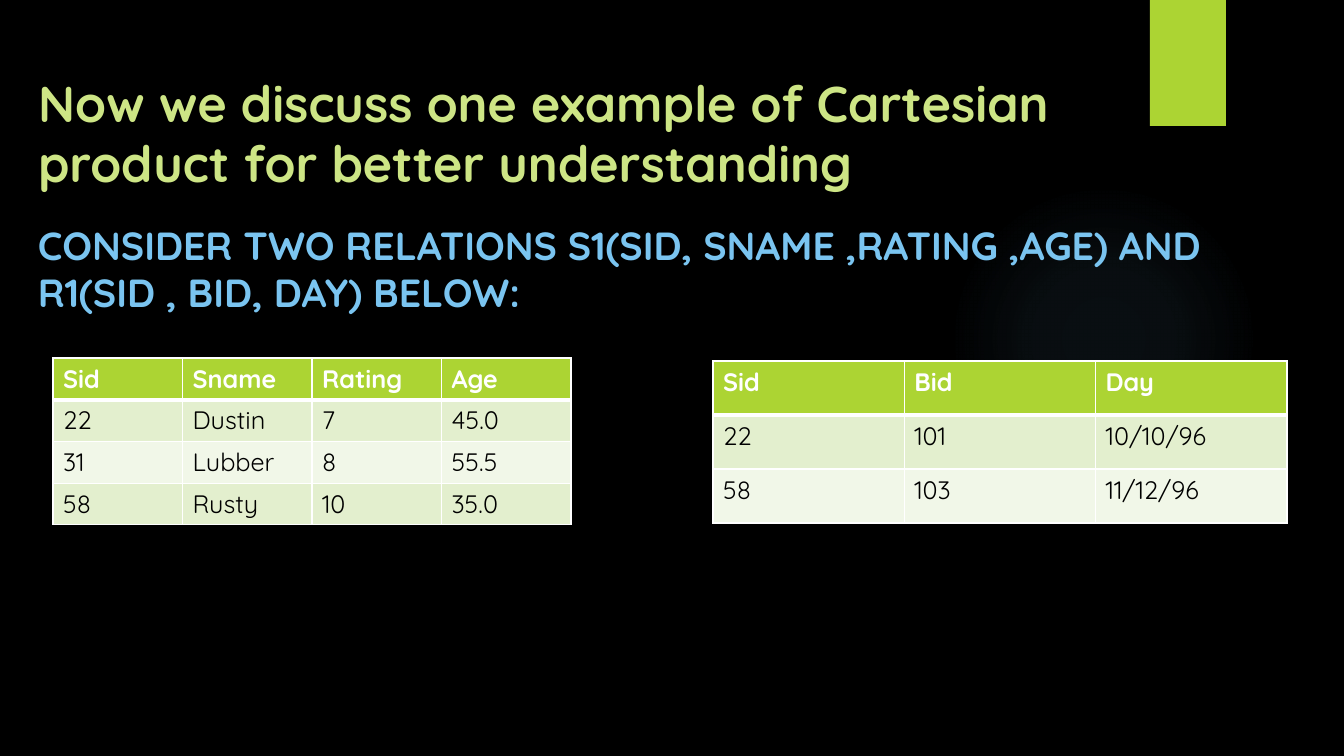
"""Build the Cartesian product example slide with its two relation tables."""
from dataclasses import dataclass

from lxml.etree import SubElement
from pptx import Presentation
from pptx.dml.color import RGBColor
from pptx.enum.shapes import MSO_SHAPE
from pptx.enum.text import MSO_ANCHOR, MSO_AUTO_SIZE, PP_ALIGN
from pptx.oxml import parse_xml
from pptx.oxml.ns import nsdecls, qn
from pptx.util import Emu, Pt

TITLE = "Now we discuss one example of Cartesian product for better understanding"
SUBTITLE = ("CONSIDER TWO RELATIONS S1(SID, SNAME ,RATING ,AGE) AND "
            "R1(SID , BID, DAY) BELOW:")
S1 = [
    ("Sid", "Sname", "Rating", "Age"),
    ("22", "Dustin", "7", "45.0"),
    ("31", "Lubber", "8", "55.5"),
    ("58", "Rusty", "10", "35.0"),
]
R1 = [
    ("Sid", "Bid", "Day"),
    ("22", "101", "10/10/96"),
    ("58", "103", "11/12/96"),
]
RELATIONS = [
    {"rows": S1, "at": (53, 358), "width": 518, "row_height": 41},
    {"rows": R1, "at": (713, 361), "width": 574, "row_height": 54},
]
GLOW_BOX = (949, 184, 310, 310)
GLOW_STOPS = [(0, 7), (36, 6), (69, 0)]
TAB_BOX = (1150, 0, 76, 126)
TITLE_BOX = (28, 51, 1085, 268)
SUBTITLE_BOX = (28, 216, 1282, 320)
TITLE_TOP_INSET = 21


@dataclass(frozen=True)
class Theme:
    """Colours, font and type sizes in points."""
    back: str = "000000"
    accent: str = "ACD433"
    title: str = "CDE585"
    sky: str = "7AC4F0"
    white: str = "FFFFFF"
    black: str = "000000"
    bands: tuple = ("E3EFCE", "F1F7E8")
    font: str = "Quicksand"
    title_size: int = 36
    subtitle_size: int = 28
    cell_size: int = 18
    rule: int = 1
    header_rule: int = 3


THEME = Theme()


def px(n):
    """Turn pixels into EMU."""
    return Emu(round(n * 914400 / 100.8))


def box(values):
    """Turn a pixel box into EMU."""
    return [px(v) for v in values]


def paint(fill, color):
    """Give a fill one solid colour."""
    fill.solid()
    fill.fore_color.rgb = RGBColor.from_string(color)


def write(tf, text, size, color, bold):
    """Write one left-aligned run in the theme font."""
    p = tf.paragraphs[0]
    p.alignment = PP_ALIGN.LEFT
    r = p.add_run()
    r.text = text
    for name, value in {"name": THEME.font, "size": Pt(size), "bold": bold}.items():
        setattr(r.font, name, value)
    r.font.color.rgb = RGBColor.from_string(color)


def frame(tf, **extra):
    """Set a wrapping, top-anchored text frame."""
    values = {"word_wrap": True, "auto_size": MSO_AUTO_SIZE.NONE,
              "vertical_anchor": MSO_ANCHOR.TOP, **extra}
    for name, value in values.items():
        setattr(tf, name, value)


def add_plain(s, kind, at):
    """Add a shape with no line or shadow."""
    sp = s.shapes.add_shape(kind, *box(at))
    sp.shadow.inherit = False
    sp.line.fill.background()
    return sp


def add_glow(s):
    """Add the faint round glow."""
    sp = add_plain(s, MSO_SHAPE.OVAL, GLOW_BOX)
    stops = "".join(
        f'<a:gs pos="{pos * 1000}"><a:srgbClr val="{THEME.sky}">'
        f'<a:alpha val="{alpha * 1000}"/></a:srgbClr></a:gs>'
        for pos, alpha in GLOW_STOPS)
    grad = parse_xml(
        f'<a:gradFill {nsdecls("a")}><a:gsLst>{stops}</a:gsLst><a:path path="circle">'
        '<a:fillToRect l="50000" t="50000" r="50000" b="50000"/></a:path></a:gradFill>')
    sp._element.spPr.find(qn("a:prstGeom")).addnext(grad)


def add_borders(cell, widths):
    """Draw white cell borders, widths in points by side."""
    tcPr = cell._tc.get_or_add_tcPr()
    for side, width in widths.items():
        ln = SubElement(tcPr, qn(f"a:ln{side}"), w=str(Pt(width)))
        fill = SubElement(ln, qn("a:solidFill"))
        SubElement(fill, qn("a:srgbClr"), val=THEME.white)


def add_relation(s, rows, at, width, row_height):
    """Add one relation as a table with a header and banded rows."""
    size = (width, row_height * len(rows))
    table = s.shapes.add_table(len(rows), len(rows[0]), *box(at + size)).table
    for i, row in enumerate(rows):
        header = i == 0
        fill = THEME.accent if header else THEME.bands[(i - 1) % 2]
        color = THEME.white if header else THEME.black
        widths = {"L": THEME.rule, "R": THEME.rule,
                  "T": THEME.header_rule if i == 1 else THEME.rule,
                  "B": THEME.header_rule if header else THEME.rule}
        for j, text in enumerate(row):
            cell = table.cell(i, j)
            add_borders(cell, widths)
            paint(cell.fill, fill)
            write(cell.text_frame, text, THEME.cell_size, color, header)


def main():
    """Build and save the slide."""
    prs = Presentation()
    prs.slide_width, prs.slide_height = px(1344), px(756)
    s = prs.slides.add_slide(prs.slide_layouts[5])
    paint(s.background.fill, THEME.back)

    add_glow(s)
    paint(add_plain(s, MSO_SHAPE.RECTANGLE, TAB_BOX).fill, THEME.accent)

    title = s.shapes.title
    title.left, title.top, title.width, title.height = box(TITLE_BOX)
    frame(title.text_frame, margin_top=px(TITLE_TOP_INSET))
    write(title.text_frame, TITLE, THEME.title_size, THEME.title, True)

    subtitle = s.shapes.add_textbox(*box(SUBTITLE_BOX))
    frame(subtitle.text_frame)
    write(subtitle.text_frame, SUBTITLE, THEME.subtitle_size, THEME.sky, True)

    for relation in RELATIONS:
        add_relation(s, **relation)
    prs.save("out.pptx")


if __name__ == "__main__":
    main()
